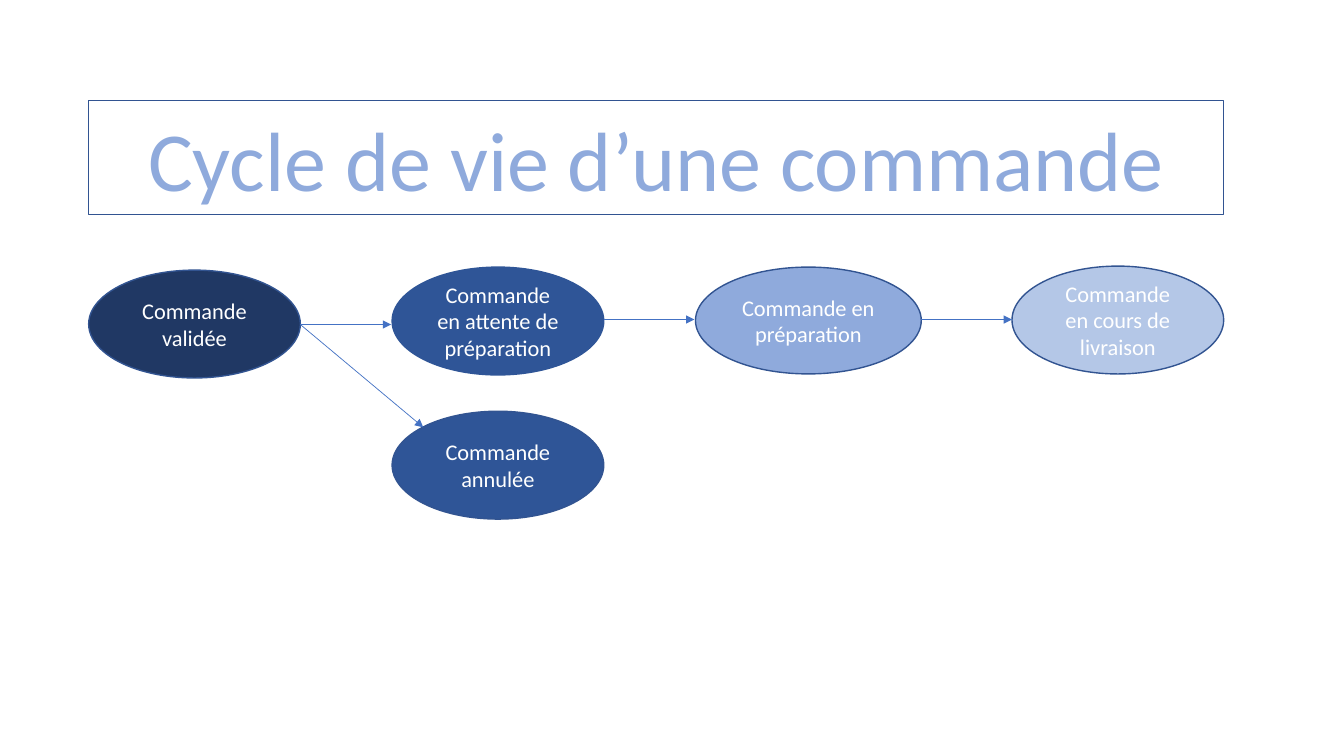
import dataclasses

import lxml.etree
import pptx
import pptx.dml.color
import pptx.enum.shapes
import pptx.enum.text
import pptx.oxml.ns
import pptx.util

Pt = pptx.util.Pt
FONT = "Calibri"
HUES = {
    "navy": "203864",
    "deep": "2F5597",
    "mid": "8FAADC",
    "pale": "B4C7E7",
    "edge": "325491",
    "link": "4472C4",
    "white": "FFFFFF",
}


@dataclasses.dataclass(frozen=True)
class State:
    text: str
    left: float
    top: float
    fill: str
    edge: str = "edge"
    width: float = 151.2
    height: float = 77.04


@dataclasses.dataclass(frozen=True)
class Arrow:
    left: float
    top: float
    right: float
    low: float


STATES = [
    State("Commande validée", 63.36, 192.96, "navy"),
    State("Commande en attente de préparation", 280.08, 190.8, "deep", "deep"),
    State("Commande annulée", 280.08, 293.76, "deep"),
    State("Commande en préparation", 496.8, 190.8, "mid", width=161.28, height=76.32),
    State("Commande en cours de livraison", 722.88, 190.08, "pale"),
]
ARROWS = [
    Arrow(214.56, 231.84, 279.36, 231.84),
    Arrow(214.56, 231.84, 302.4, 305.28),
    Arrow(431.28, 228.24, 496.08, 228.24),
    Arrow(658.08, 228.24, 722.88, 228.24),
]


def color(name: str) -> pptx.dml.color.RGBColor:
    return pptx.dml.color.RGBColor.from_string(HUES[name])


def style(shape, text: str, size: float, ink: str, fill: str, edge: str) -> None:
    shape.fill.solid()
    shape.fill.fore_color.rgb = color(fill)
    shape.line.color.rgb = color(edge)
    shape.line.width = Pt(1)
    frame = shape.text_frame
    frame.text = text
    frame.word_wrap = True
    frame.auto_size = pptx.enum.text.MSO_AUTO_SIZE.NONE
    frame.vertical_anchor = pptx.enum.text.MSO_ANCHOR.MIDDLE
    para = frame.paragraphs[0]
    para.alignment = pptx.enum.text.PP_ALIGN.CENTER
    para.font.name = FONT
    para.font.size = Pt(size)
    para.font.color.rgb = color(ink)


def draw_title(slide) -> None:
    title = slide.shapes.title
    title.left, title.top = Pt(63.36), Pt(72)
    title.width, title.height = Pt(810.72), Pt(81.36)
    style(title, "Cycle de vie d’une commande", 60, "mid", "white", "edge")


def draw_state(slide, state: State) -> None:
    oval = slide.shapes.add_shape(
        pptx.enum.shapes.MSO_SHAPE.OVAL,
        Pt(state.left), Pt(state.top), Pt(state.width), Pt(state.height),
    )
    oval.shadow.inherit = False
    style(oval, state.text, 16, "white", state.fill, state.edge)


def draw_arrow(slide, arrow: Arrow) -> None:
    link = slide.shapes.add_connector(
        pptx.enum.shapes.MSO_CONNECTOR.STRAIGHT,
        Pt(arrow.left), Pt(arrow.top), Pt(arrow.right), Pt(arrow.low),
    )
    link.line.color.rgb = color("link")
    link.line.width = Pt(0.5)
    qn = pptx.oxml.ns.qn
    line = link.line._get_or_add_ln()
    lxml.etree.SubElement(line, qn("a:tailEnd"), type="triangle")
    lxml.etree.SubElement(link._element.spPr, qn("a:effectLst"))


def main() -> None:
    deck = pptx.Presentation()
    deck.slide_width, deck.slide_height = Pt(960), Pt(540)
    slide = deck.slides.add_slide(deck.slide_layouts.get_by_name("Title Only"))
    draw_title(slide)
    for state in STATES:
        draw_state(slide, state)
    for arrow in ARROWS:
        draw_arrow(slide, arrow)
    deck.save("out.pptx")


if __name__ == "__main__":
    main()
